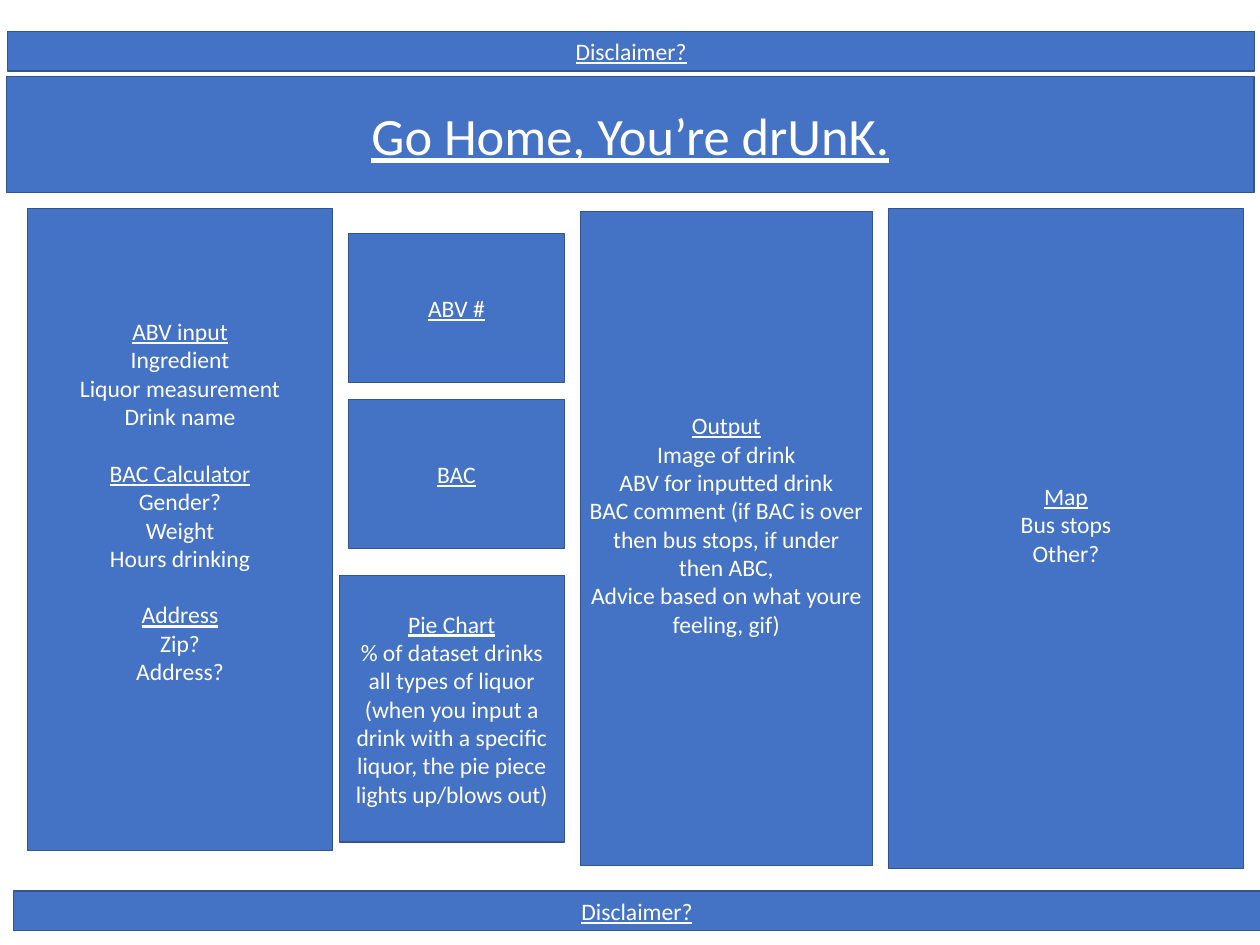
from pptx import Presentation
from pptx.dml import color
from pptx.enum import shapes, text
from pptx.util import Cm, Pt

HUES = {"fill": "4472C4", "edge": "325491", "ink": "FFFFFF"}
LINE = 0.76  # height in cm of one 18 pt line


def hue(name):
    """Return the named colour."""
    return color.RGBColor.from_string(HUES[name])


def write(frame, words, size=18, under=False, gap=0):
    """Add one centred paragraph, using the empty first one if it is free."""
    para = frame.paragraphs[0]
    if para.runs:
        para = frame.add_paragraph()
    para.alignment = text.PP_ALIGN.CENTER
    para.space_before = Cm(gap)
    run = para.add_run()
    run.text = words
    font = run.font
    font.name, font.size, font.underline = "Calibri", Pt(size), under
    font.color.rgb = hue("ink")


def panel(slide, box, groups, size=18, lift=0):
    """Draw a block of headed groups; lift is the lines kept free below."""
    block = slide.shapes.add_shape(
        shapes.MSO_SHAPE.RECTANGLE, *(Cm(n) for n in box))
    block.shadow.inherit = False
    block.fill.solid()
    block.fill.fore_color.rgb = hue("fill")
    block.line.color.rgb = hue("edge")
    block.line.width = Pt(1)
    frame = block.text_frame
    frame.word_wrap = True
    frame.vertical_anchor = text.MSO_ANCHOR.MIDDLE
    frame.margin_bottom = Cm(0.13 + lift * LINE)
    for i, (head, *items) in enumerate(groups):
        write(frame, head, size, under=True, gap=LINE if i else 0)
        for item in items:
            write(frame, item, size)


def bars(slide, box):
    """Place the title banner and the disclaimers above and below it."""
    left, top, wide, high = box
    thin = 1.07
    note = [["Disclaimer?"]]
    panel(slide, (left + 0.02, top, wide, thin), note)
    panel(slide, (left + 0.18, top + high - thin, wide, thin), note)
    panel(slide, (left, top + 1.22, wide, 3.12),
          [["Go Home, You’re drUnK."]], size=40)


def charts(slide, box):
    """Stack the two figures over the pie chart block."""
    left, top, wide, high = box
    inset, pie = 0.25, 7.16
    for i, head in enumerate(["ABV #", "BAC"]):
        panel(slide, (left + inset, top + i * 4.47, wide - inset, 4.01),
              [[head]])
    panel(slide, (left, top + high - pie, wide, pie), [[
        "Pie Chart", "% of dataset drinks all types of liquor",
        "(when you input a drink with a specific liquor, "
        "the pie piece lights up/blows out)"]])


def main():
    """Build the page layout sketch."""
    deck = Presentation()
    deck.slide_width, deck.slide_height = Cm(33.87), Cm(25.4)
    slide = deck.slides.add_slide(deck.slide_layouts[6])
    bars(slide, (0.18, 0.84, 33.53, 24.18))
    panel(slide, (0.74, 5.61, 8.2, 17.25), [
        ["ABV input", "Ingredient", "Liquor measurement", "Drink name"],
        ["BAC Calculator", "Gender?", "Weight", "Hours drinking"],
        ["Address", "Zip?", "Address?"]], lift=2)
    charts(slide, (9.12, 6.27, 6.05, 16.36))
    panel(slide, (15.6, 5.69, 7.85, 17.58), [[
        "Output", "Image of drink", "ABV for inputted drink",
        "BAC comment (if BAC is over then bus stops, if under then ABC,",
        "Advice based on what youre feeling, gif)"]], lift=1)
    panel(slide, (23.88, 5.61, 9.55, 17.73),
          [["Map", "Bus stops", "Other?"]], lift=1)
    deck.save("out.pptx")


main()
